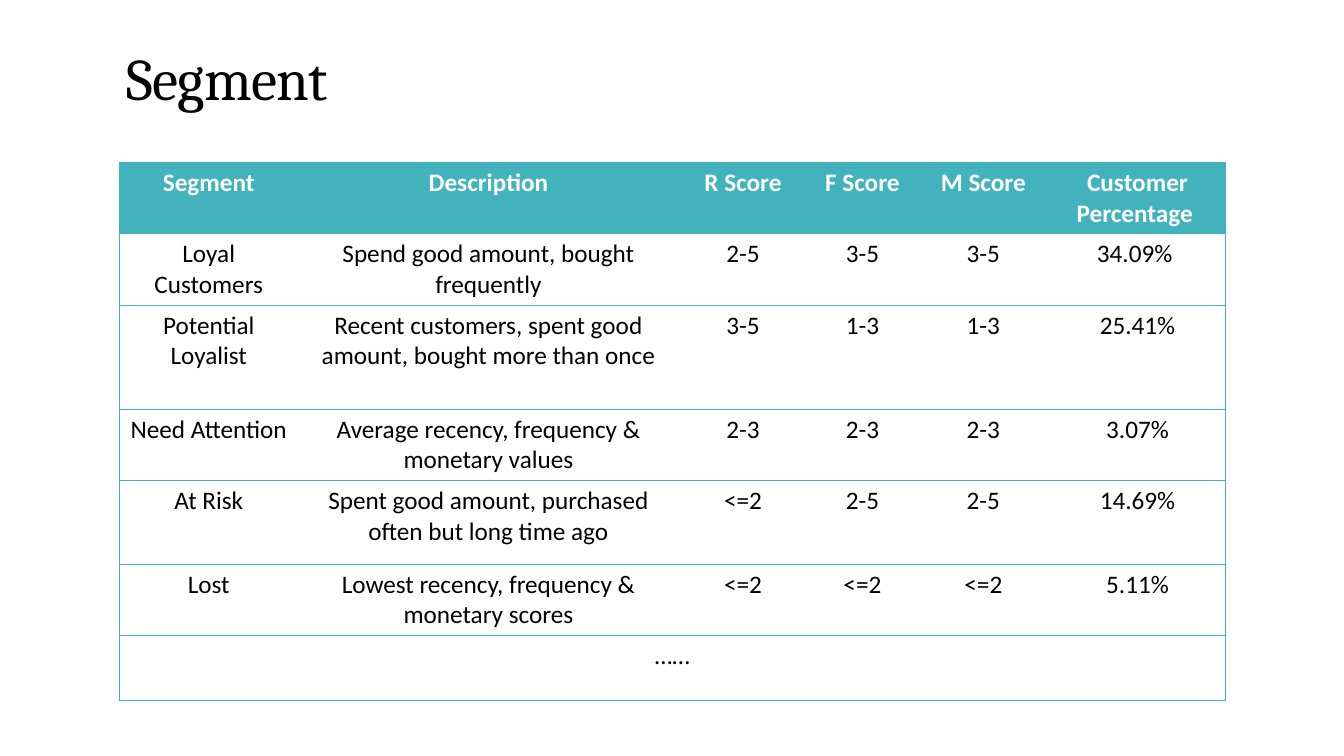
from dataclasses import dataclass
from lxml.etree import SubElement
from pptx import Presentation
from pptx.dml.color import RGBColor as Color
from pptx.enum.text import MSO_ANCHOR as Anchor, PP_ALIGN as Align
from pptx.oxml.ns import qn
from pptx.util import Pt

TITLE = "Segment"
HEADER = ("Segment", "Description", "R Score", "F Score", "M Score", "Customer Percentage ")
SEGMENTS = [
    ("Loyal Customers", "Spend good amount, bought frequently", "2-5", "3-5", "3-5", "34.09% "),
    ("Potential Loyalist", "Recent customers, spent good amount, bought more than once",
     "3-5", "1-3", "1-3", "25.41%"),
    ("Need Attention", "Average recency, frequency & monetary values", "2-3", "2-3", "2-3", "3.07%"),
    ("At Risk", "Spent good amount, purchased often but long time ago",
     "<=2", "2-5", "2-5", "14.69%"),
    ("Lost", "Lowest recency, frequency & monetary scores", "<=2", "<=2", "<=2", "5.11%"),
]
MORE = ("……",)
ROWS = [HEADER, *SEGMENTS, MORE]
COLUMN_WIDTHS = (128.2, 271.4, 92.2, 78.5, 94.3, 126)
ROW_HEIGHTS = (51, 51, 74.2, 51, 59.8, 51, 46.1)
TABLE_LEFT, TABLE_TOP = 85, 116


@dataclass(frozen=True)
class Theme:
    accent: str = "42B3BD"
    ink: str = "000000"
    paper: str = "FFFFFF"
    title_font: str = "Cambria"
    body_font: str = "Calibri"
    title_size: float = 42
    body_size: float = 18
    rule: float = 0.5
    plain_table: str = "{2D5ABB26-0587-4C30-8999-92F81FD0307C}"


theme = Theme()


def add_span(para, text, font, size, color, bold=False):
    span = para.add_run()
    span.text = text
    span.font.name = font
    span.font.size = Pt(size)
    span.font.bold = bold
    span.font.color.rgb = Color.from_string(color)
    return span


def draw_borders(cell, sides):
    properties = cell._tc.get_or_add_tcPr()
    for index, side in enumerate(sides):
        line = SubElement(properties, qn(f"a:ln{side}"), w=str(Pt(theme.rule)))
        fill = SubElement(line, qn("a:solidFill"))
        SubElement(fill, qn("a:srgbClr"), val=theme.accent)
        properties.insert(index, line)


def add_title(page):
    box = page.shapes.add_textbox(Pt(83.5), Pt(30.2), Pt(720), Pt(71.3))
    frame = box.text_frame
    frame.word_wrap = True
    frame.vertical_anchor = Anchor.TOP
    para = frame.paragraphs[0]
    para.line_spacing = 0.95
    span = add_span(para, TITLE, theme.title_font, theme.title_size, theme.ink)
    span.font._element.set("spc", "-50")


def add_segment_table(page):
    frame = page.shapes.add_table(
        len(ROWS), len(HEADER), Pt(TABLE_LEFT), Pt(TABLE_TOP),
        Pt(sum(COLUMN_WIDTHS)), Pt(sum(ROW_HEIGHTS)))
    table = frame.table
    table.horz_banding = False
    table._tbl.tblPr.find(qn("a:tableStyleId")).text = theme.plain_table
    for column, width in zip(table.columns, COLUMN_WIDTHS):
        column.width = Pt(width)
    for row, height in zip(table.rows, ROW_HEIGHTS):
        row.height = Pt(height)

    last_row, last_column = len(ROWS) - 1, len(HEADER) - 1
    table.cell(last_row, 0).merge(table.cell(last_row, last_column))
    for r, texts in enumerate(ROWS):
        heading = r == 0
        for c in range(len(HEADER)):
            cell = table.cell(r, c)
            if heading:
                cell.fill.solid()
                cell.fill.fore_color.rgb = Color.from_string(theme.accent)
            else:
                cell.fill.background()
            merged = r == last_row
            sides = ["L"] * (c == 0) + ["R"] * (c == last_column or merged) + ["T", "B"]
            draw_borders(cell, sides)
            if c < len(texts):
                para = cell.text_frame.paragraphs[0]
                para.alignment = Align.CENTER
                add_span(para, texts[c], theme.body_font, theme.body_size,
                         theme.paper if heading else theme.ink, heading)


deck = Presentation()
deck.slide_width, deck.slide_height = Pt(960), Pt(540)
page = deck.slides.add_slide(deck.slide_layouts[6])
page.background.fill.solid()
page.background.fill.fore_color.rgb = Color.from_string(theme.paper)
add_title(page)
add_segment_table(page)
deck.save("out.pptx")
